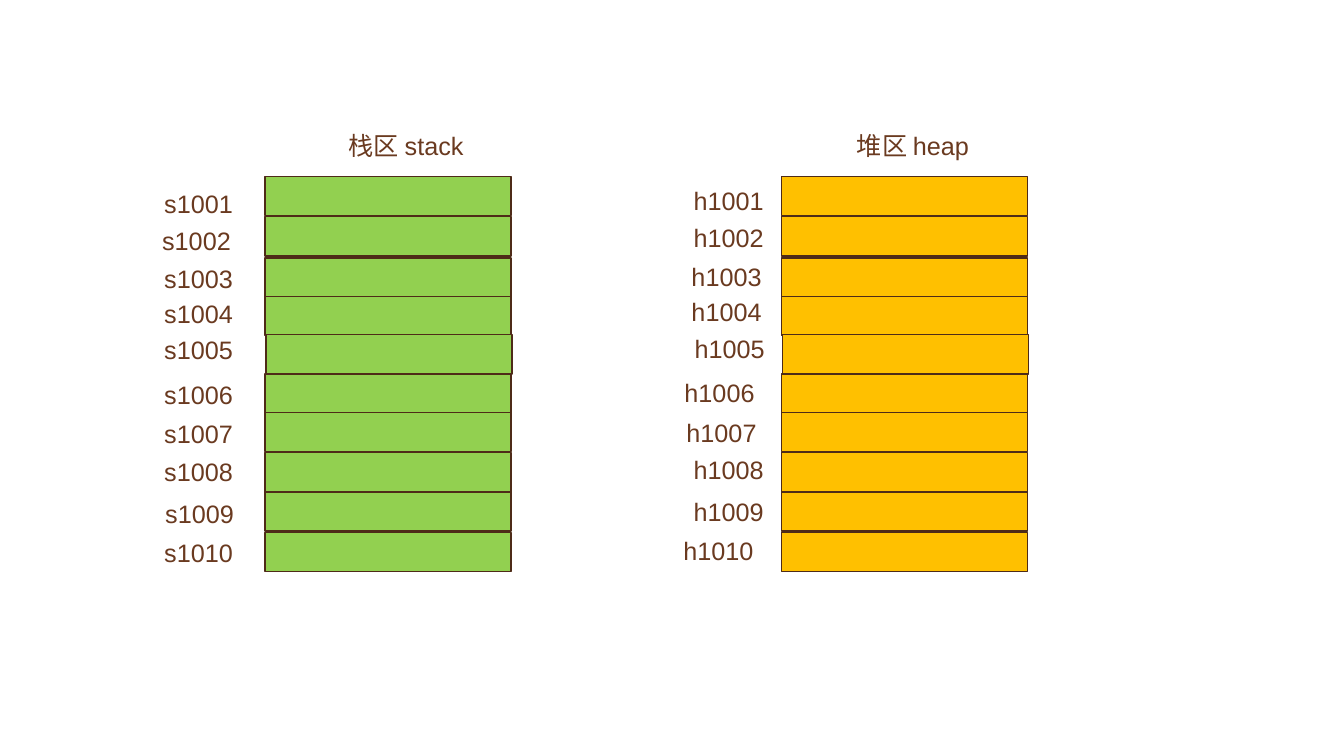
from dataclasses import dataclass

from pptx import Presentation
from pptx.dml.color import RGBColor
from pptx.enum.shapes import MSO_SHAPE
from pptx.enum.text import MSO_AUTO_SIZE
from pptx.util import Inches, Pt


@dataclass(frozen=True)
class Theme:
    font: str = "Arial"
    text_size: int = 18
    text: str = "6A3A20"
    line: str = "4E2B18"
    line_width: int = 1
    stack: str = "92D050"
    heap: str = "FFC000"


THEME = Theme()
BLANK_LAYOUT = 6
CELL_WIDTH, CELL_HEIGHT = 2.44, 0.39
TEXT_HEIGHT = 0.4
LABEL_WIDTH = 1.05
TITLE_TOP, TITLE_WIDTH = 1.24, 1.57
CELL_TOPS = (1.75, 2.15, 2.56, 2.94, 3.32, 3.71, 4.09, 4.49, 4.88, 5.28)
SHIFTED_ROW, ROW_SHIFT = 4, 0.01

# Left and top of each address label, from the first row down
STACK_LABELS = (
    (1.53, 1.82), (1.51, 2.19), (1.53, 2.56), (1.53, 2.91), (1.53, 3.27),
    (1.53, 3.71), (1.53, 4.10), (1.53, 4.48), (1.54, 4.89), (1.53, 5.28),
)
HEAP_LABELS = (
    (6.78, 1.79), (6.78, 2.16), (6.76, 2.54), (6.76, 2.89), (6.79, 3.26),
    (6.69, 3.69), (6.71, 4.09), (6.78, 4.46), (6.78, 4.87), (6.68, 5.26),
)


def add_text(slide, text, left, top, width, *, size=THEME.text_size,
             color=THEME.text, font=THEME.font):
    box = slide.shapes.add_textbox(
        Inches(left), Inches(top), Inches(width), Inches(TEXT_HEIGHT))
    frame = box.text_frame
    frame.word_wrap = True
    frame.auto_size = MSO_AUTO_SIZE.SHAPE_TO_FIT_TEXT
    run = frame.paragraphs[0].add_run()
    run.text = text
    run.font.name = font
    run.font.size = Pt(size)
    run.font.color.rgb = RGBColor.from_string(color)


def add_cell(group, left, top, fill):
    cell = group.shapes.add_shape(
        MSO_SHAPE.RECTANGLE, Inches(left), Inches(top),
        Inches(CELL_WIDTH), Inches(CELL_HEIGHT))
    cell.shadow.inherit = False
    cell.fill.solid()
    cell.fill.fore_color.rgb = RGBColor.from_string(fill)
    cell.line.color.rgb = RGBColor.from_string(THEME.line)
    cell.line.width = Pt(THEME.line_width)


def add_memory_area(slide, title, title_left, cell_left, fill, prefix, labels):
    """Draw a titled column of memory cells with an address beside each."""
    group = slide.shapes.add_group_shape()
    for row, top in enumerate(CELL_TOPS):
        shift = ROW_SHIFT if row == SHIFTED_ROW else 0
        add_cell(group, cell_left + shift, top, fill)
    for number, (left, top) in enumerate(labels, start=1001):
        add_text(slide, f"{prefix}{number}", left, top, LABEL_WIDTH)
    add_text(slide, title, title_left, TITLE_TOP, TITLE_WIDTH)


def main():
    presentation = Presentation()
    presentation.slide_width = Inches(13.33)
    presentation.slide_height = Inches(7.5)
    slide = presentation.slides.add_slide(
        presentation.slide_layouts[BLANK_LAYOUT])
    add_memory_area(slide, "栈区 stack", 3.36, 2.63, THEME.stack, "s", STACK_LABELS)
    add_memory_area(slide, "堆区 heap", 8.4, 7.75, THEME.heap, "h", HEAP_LABELS)
    presentation.save("out.pptx")


if __name__ == "__main__":
    main()
